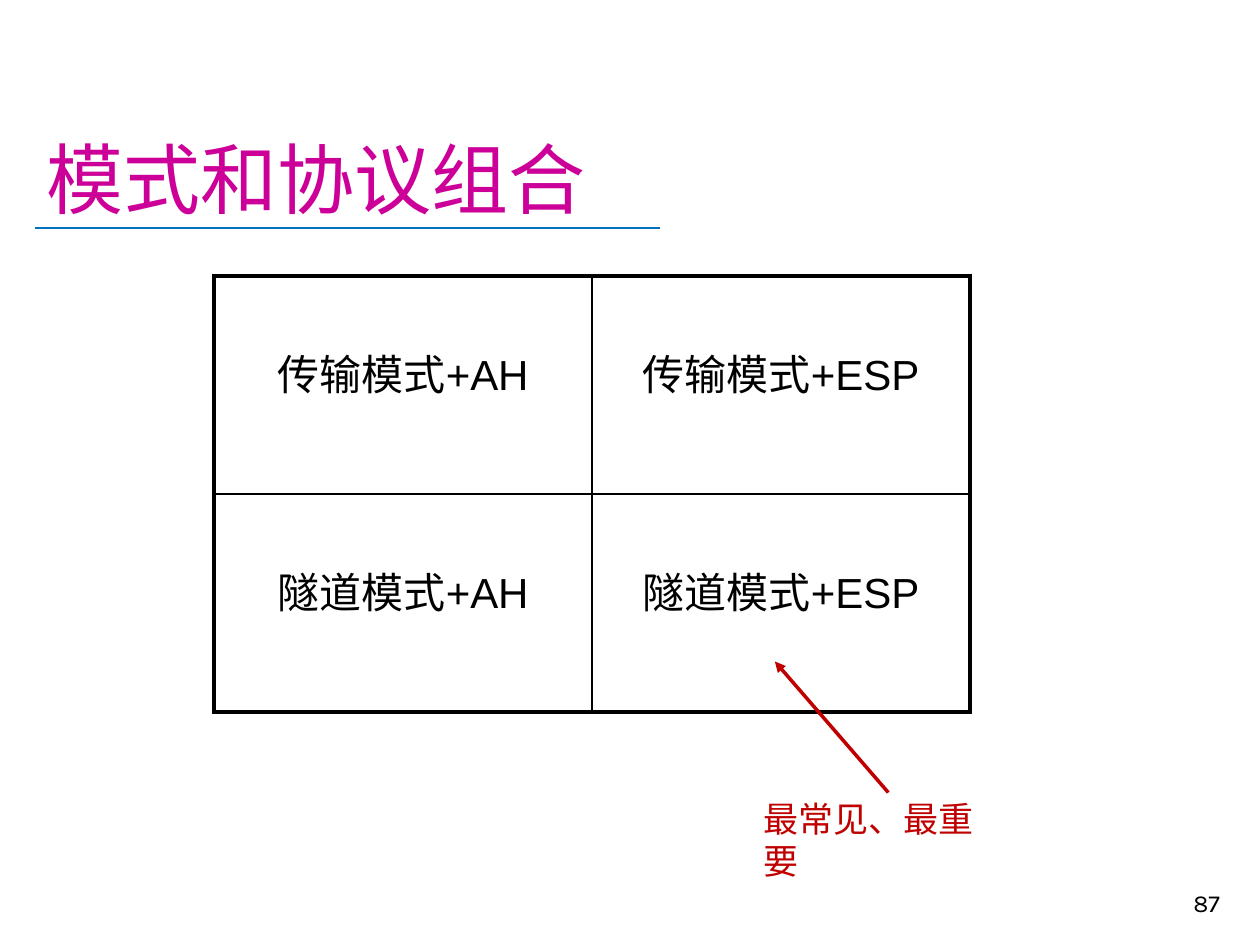
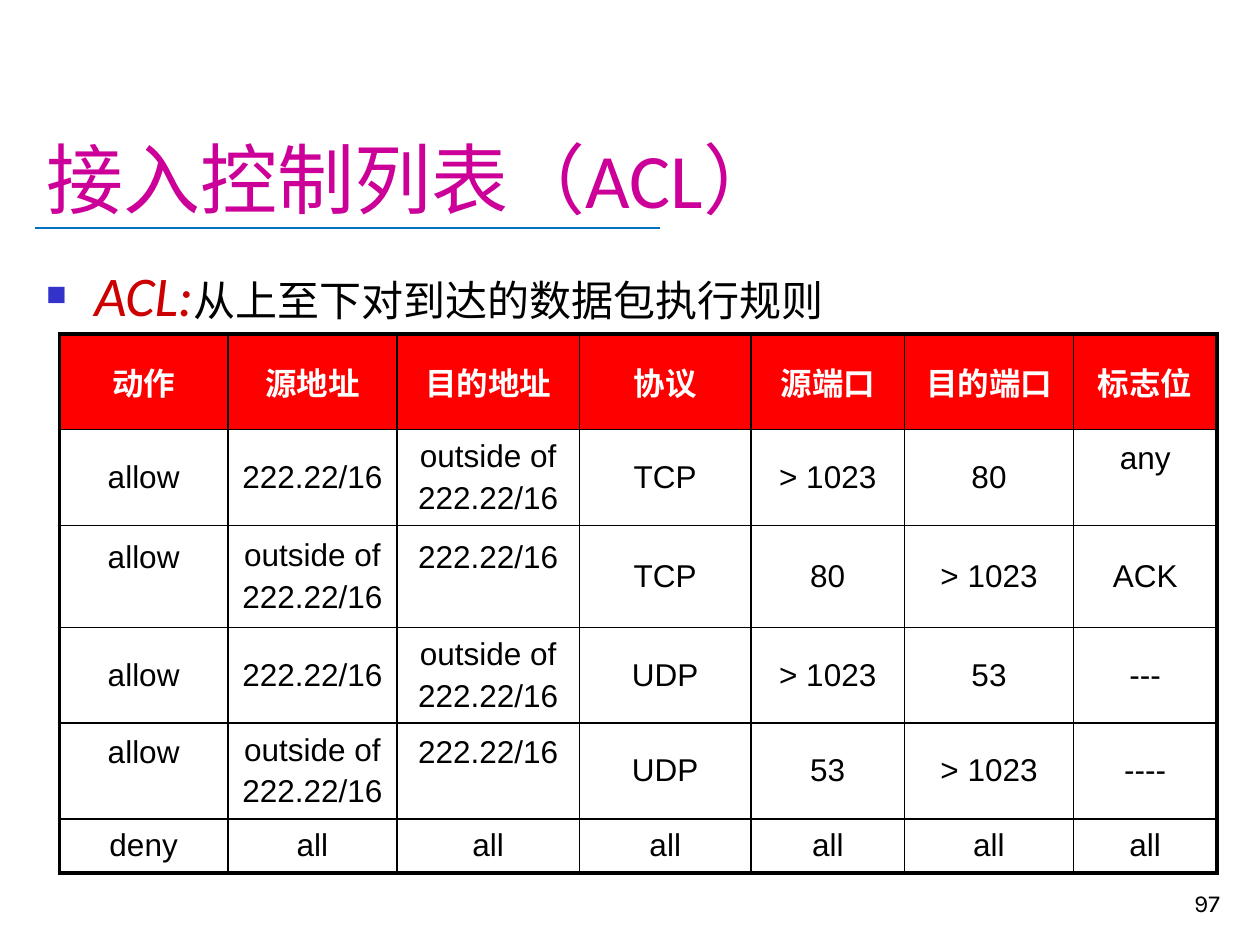
"""Builds two slides on IPsec mode combinations and access control lists."""
from dataclasses import dataclass

from lxml import etree
from pptx import Presentation
from pptx import util as u
from pptx.dml.color import RGBColor
from pptx.enum import shapes, text
from pptx.oxml import ns

PX = 9144


@dataclass(frozen=True)
class Theme:
    ink: str = "000000"
    paper: str = "FFFFFF"
    title: str = "CC0099"
    rule: str = "0070C0"
    accent: str = "C00000"
    term: str = "CC0000"
    bullet: str = "3333CC"
    header: str = "FF0000"
    title_size: int = 44
    term_size: int = 32
    body_size: int = 24
    note_size: int = 20
    cell_size: int = 18
    number_size: int = 14
    thick: float = 2.25
    thin: float = 1


class Deck:
    def __init__(self, theme):
        self.theme = theme
        self.prs = Presentation()
        self.prs.slide_width, self.prs.slide_height = 1000 * PX, 750 * PX
        self.slide = None

    def new_slide(self, title, number, title_font="Karla"):
        t = self.theme
        self.slide = self.prs.slides.add_slide(self.prs.slide_layouts[6])
        self.line((28, 181), (524, 181), t.rule, 1.25)
        self.text((27, 23, 951, 160), [(title, t.title_size, title_font, t.title, {})],
                  anchor=text.MSO_ANCHOR.BOTTOM)
        self.text((770, 683, 208, 50), [(number, t.number_size, "Karla", t.ink, {})],
                  anchor=text.MSO_ANCHOR.BOTTOM, align=text.PP_ALIGN.RIGHT)

    def line(self, start, end, color, width, arrow=False):
        ends = [value * PX for value in (*start, *end)]
        connector = self.slide.shapes.add_connector(shapes.MSO_CONNECTOR.STRAIGHT, *ends)
        connector.line.color.rgb = RGBColor.from_string(color)
        connector.line.width = u.Pt(width)
        if arrow:
            etree.SubElement(connector.line._get_or_add_ln(), ns.qn("a:tailEnd"), type="triangle")
        etree.SubElement(connector._element.spPr, ns.qn("a:effectLst"))

    def run(self, paragraph, words, size, font, color, style):
        run = paragraph.add_run()
        run.text = words
        run.font.color.rgb = RGBColor.from_string(color)
        for name, value in {"size": u.Pt(size), "name": font, **style}.items():
            setattr(run.font, name, value)

    def text(self, box, runs, anchor=text.MSO_ANCHOR.TOP, align=text.PP_ALIGN.LEFT):
        frame = self.slide.shapes.add_textbox(*(value * PX for value in box)).text_frame
        for name, value in {"word_wrap": True, "vertical_anchor": anchor}.items():
            setattr(frame, name, value)
        paragraph = frame.paragraphs[0]
        paragraph.alignment = align
        for run in runs:
            self.run(paragraph, *run)
        return paragraph

    def bullet(self, box, runs):
        paragraph = self.text(box, runs)
        paragraph.space_before = u.Pt(6.4)
        props = paragraph._p.get_or_add_pPr()
        props.set("marL", str(38 * PX))
        props.set("indent", str(-38 * PX))
        color = etree.SubElement(props, ns.qn("a:buClr"))
        etree.SubElement(color, ns.qn("a:srgbClr"), val=self.theme.bullet)
        etree.SubElement(props, ns.qn("a:buSzPct"), val="60000")
        etree.SubElement(props, ns.qn("a:buFont"), typeface="Arial")
        etree.SubElement(props, ns.qn("a:buChar"), char="■")

    def borders(self, cell, outer):
        props = cell._tc.get_or_add_tcPr()
        for index, (side, is_outer) in enumerate(outer.items()):
            width = self.theme.thick if is_outer else self.theme.thin
            edge = etree.Element(ns.qn(f"a:ln{side}"), w=str(u.Pt(width)))
            fill = etree.SubElement(edge, ns.qn("a:solidFill"))
            etree.SubElement(fill, ns.qn("a:srgbClr"), val=self.theme.ink)
            props.insert(index, edge)

    def table(self, corner, widths, heights, rows, size, header=False, gap=0.0, raised=None):
        t = self.theme
        raised = raised or {}
        extent = (sum(widths), sum(heights))
        table = self.slide.shapes.add_table(
            len(rows), len(widths), *(value * PX for value in (*corner, *extent))).table
        table.first_row = table.horz_banding = False
        for column, width in zip(table.columns, widths):
            column.width = width * PX
        for row, height in zip(table.rows, heights):
            row.height = height * PX
        for r, row in enumerate(rows):
            for c, words in enumerate(row):
                cell = table.cell(r, c)
                is_header = header and r == 0
                layout = {"margin_left": 10 * PX, "margin_right": 10 * PX, "margin_top": 5 * PX,
                          "margin_bottom": raised.get((r, c), 5) * PX,
                          "vertical_anchor": text.MSO_ANCHOR.MIDDLE}
                for name, value in layout.items():
                    setattr(cell, name, value)
                if is_header:
                    cell.fill.solid()
                    cell.fill.fore_color.rgb = RGBColor.from_string(t.header)
                else:
                    cell.fill.background()
                for i, part in enumerate(words.split("\n")):
                    frame = cell.text_frame
                    paragraph = frame.add_paragraph() if i else frame.paragraphs[0]
                    paragraph.alignment = text.PP_ALIGN.CENTER
                    paragraph.space_before = u.Pt(gap)
                    self.run(paragraph, part, size, "Arial", t.paper if is_header else t.ink,
                             {"bold": is_header})
                self.borders(cell, {"L": c == 0, "R": c == len(widths) - 1,
                                    "T": r == 0, "B": r == len(rows) - 1})


def mode_slide(deck):
    t = deck.theme
    deck.new_slide("模式和协议组合", "87")
    combinations = [[f"{mode}模式+{protocol}" for protocol in ("AH", "ESP")]
                    for mode in ("传输", "隧道")]
    raised = {(r, c): 25 for r in range(2) for c in range(2)}
    deck.table((170, 219), [300] * 2, [173] * 2, combinations, t.body_size, raised=raised)
    deck.line((705, 629), (615, 525), t.accent, 2, arrow=True)
    deck.text((596, 628, 207, 44), [("最常见、最重要", t.note_size, "Arial", t.accent, {})])


def acl_slide(deck):
    t = deck.theme
    deck.new_slide("接入控制列表（ACL）", "97", "Calibri")
    deck.bullet((27, 202, 952, 469), [
        ("ACL:", t.term_size, "Calibri", t.term, {"italic": True}),
        ("从上至下对到达的数据包执行规则", t.body_size, "Calibri", t.ink, {})])
    inside = "222.22/16"
    outside = f"outside of\n{inside}"
    high = "> 1023"
    rules = [
        ["动作", "源地址", "目的地址", "协议", "源端口", "目的端口", "标志位"],
        ["allow", inside, outside, "TCP", high, "80", "any"],
        ["allow", outside, inside, "TCP", "80", high, "ACK"],
        ["allow", inside, outside, "UDP", high, "53", "---"],
        ["allow", outside, inside, "UDP", "53", high, "----"],
        ["deny"] + ["all"] * 6]
    raised = dict.fromkeys([(1, 6), (2, 0), (2, 2), (4, 0), (4, 2)], 35)
    deck.table((47, 265), [134, 134, 145, 136, 122, 134, 114], [76, 76, 81, 76, 76, 43],
               rules, t.cell_size, header=True, gap=3.6, raised=raised)


def main():
    deck = Deck(Theme())
    mode_slide(deck)
    acl_slide(deck)
    deck.prs.save("out.pptx")


if __name__ == "__main__":
    main()
